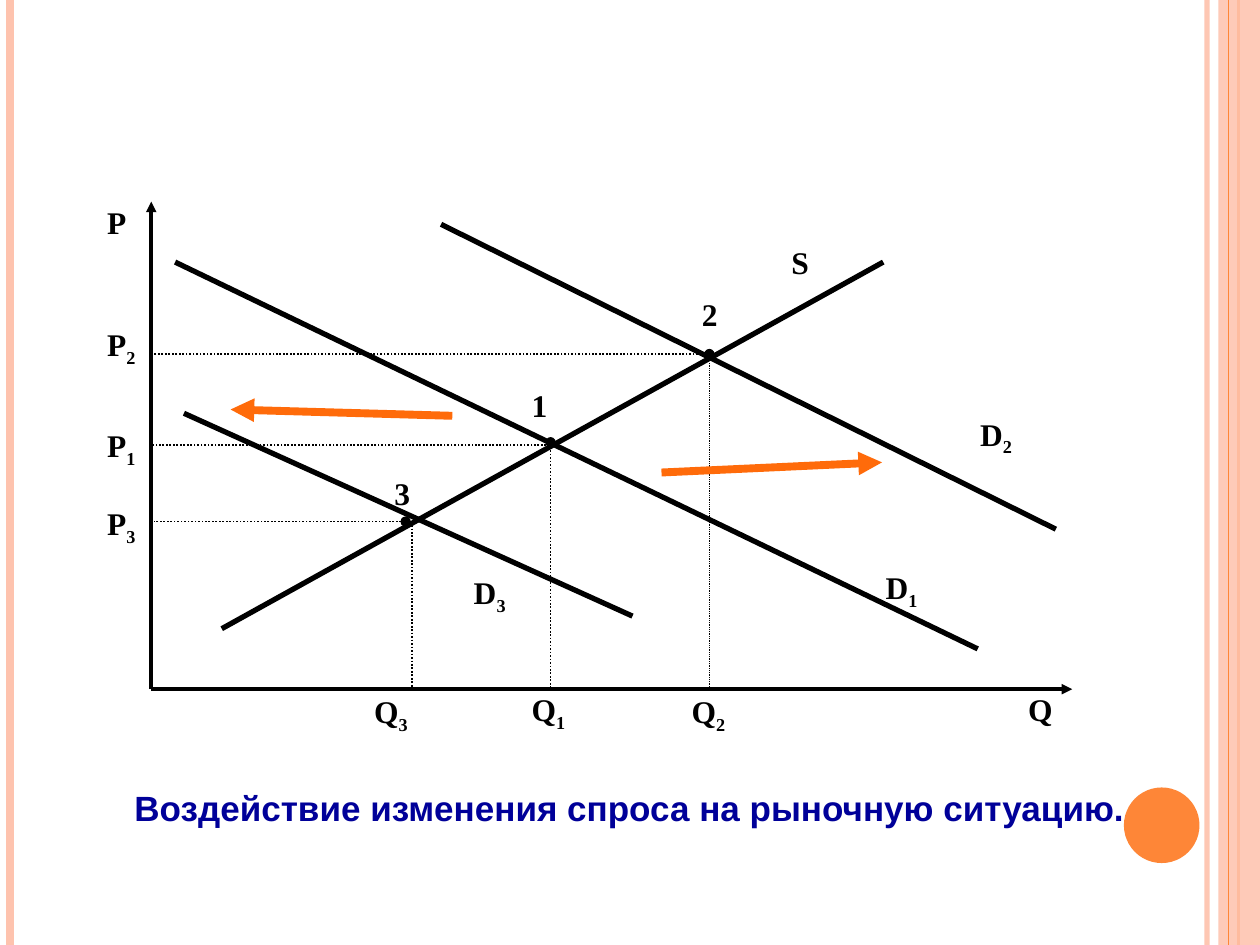
from pptx import Presentation
from pptx.dml.color import RGBColor
from pptx.enum.dml import MSO_LINE
from pptx.enum.shapes import MSO_CONNECTOR, MSO_SHAPE
from pptx.enum.text import PP_ALIGN
from pptx.oxml.ns import qn
from pptx.util import Inches, Pt
from lxml.etree import SubElement

BLACK = RGBColor(0x00, 0x00, 0x00)
NAVY = RGBColor(0x00, 0x00, 0x99)
PEACH = RGBColor(0xFE, 0xC3, 0xAE)
ORANGE = RGBColor(0xFE, 0x86, 0x37)
ARROW_ORANGE = RGBColor(0xFF, 0x6B, 0x0A)

presentation = Presentation()
presentation.slide_width = Inches(10)
presentation.slide_height = Inches(7.5)
slide = presentation.slides.add_slide(presentation.slide_layouts[6])
shapes = slide.shapes


def add_line(start, end, width, color=BLACK, dash=None, head=None, tail=None):
    connector = shapes.add_connector(
        MSO_CONNECTOR.STRAIGHT, *(Inches(value) for value in start + end))
    connector.line.width = Pt(width)
    connector.line.color.rgb = color
    if dash:
        connector.line.dash_style = dash
    properties = connector._element.spPr
    outline = properties.find(qn("a:ln"))
    for tag, kind in (("a:headEnd", head), ("a:tailEnd", tail)):
        if kind:
            SubElement(outline, qn(tag), type=kind)
    SubElement(properties, qn("a:effectLst"))
    return connector


def add_text(text, left, top, width=0.56, height=0.48, subscript="", size=18,
             font="Times New Roman", color=BLACK, align=PP_ALIGN.LEFT,
             margins=(0.02, 0.01)):
    frame = shapes.add_textbox(
        Inches(left), Inches(top), Inches(width), Inches(height)).text_frame
    frame.word_wrap = True
    frame.margin_left = frame.margin_right = Inches(margins[0])
    frame.margin_top = frame.margin_bottom = Inches(margins[1])
    paragraph = frame.paragraphs[0]
    paragraph.alignment = align
    for part in filter(None, (text, subscript)):
        run = paragraph.add_run()
        run.text = part
        run.font.name = font
        run.font.size = Pt(size)
        run.font.bold = True
        run.font.color.rgb = color
    if subscript:
        run.font._element.set("baseline", "-25000")


# Side stripes and the circle
right_stripe = add_line((9.58, 0), (9.58, 7.5), 3, PEACH)
add_line((0.08, 0), (0.08, 7.5), 4.5, PEACH)
add_line((9.83, 0), (9.83, 7.5), 1.5, ORANGE)
band = shapes.add_shape(
    MSO_SHAPE.RECTANGLE, Inches(9.67), 0, Inches(0.33), Inches(7.5))
add_line((9.75, 0), (9.75, 7.5), 0.75, ORANGE)
circle = shapes.add_shape(
    MSO_SHAPE.OVAL, Inches(8.92), Inches(6.25), Inches(0.6), Inches(0.6))
for shape, color in ((band, PEACH), (circle, ORANGE)):
    shape.shadow.inherit = False
    shape.fill.solid()
    shape.fill.fore_color.rgb = color
    shape.line.fill.background()
for shape, opacity in ((right_stripe, 93), (band, 87)):
    color_element = next(shape._element.spPr.iter(qn("a:srgbClr")))
    SubElement(color_element, qn("a:alpha"), val=str(opacity * 1000))

# Axes
origin = (1.2, 5.47)
for axis_end in ((1.2, 1.6), (8.51, 5.47)):
    add_line(origin, axis_end, 2, tail="triangle")

# Demand curves D1, D2, D3 and supply curve S
for start, end in (
    ((1.39, 2.08), (7.76, 5.15)),
    ((3.5, 1.78), (8.38, 4.2)),
    ((1.46, 3.28), (5.02, 4.89)),
    ((1.76, 4.99), (7.01, 2.08)),
):
    add_line(start, end, 3)

# Dotted projections of the equilibrium points; an oval marks each point
for start, end, width, head in (
    ((4.39, 3.53), (1.2, 3.53), 1, None),
    ((4.37, 3.51), (4.37, 5.45), 1, "oval"),
    ((5.63, 2.81), (1.22, 2.81), 1, "oval"),
    ((5.63, 2.88), (5.63, 5.47), 0.5, None),
    ((3.22, 4.14), (1.22, 4.14), 1, "oval"),
    ((3.27, 4.14), (3.27, 5.48), 1, None),
):
    add_line(start, end, width, dash=MSO_LINE.ROUND_DOT, head=head)

# Labels
for text, subscript, left, top in (
    ("Q", "", 8.14, 5.47),
    ("Q", "1", 4.2, 5.47),
    ("Q", "2", 5.47, 5.48),
    ("Q", "3", 2.95, 5.48),
    ("1", "", 4.2, 3.05),
    ("2", "", 5.55, 2.33),
    ("3", "", 3.11, 3.75),
    ("D", "1", 7.01, 4.5),
    ("D", "2", 7.76, 3.28),
    ("D", "3", 3.74, 4.54),
):
    add_text(text, left, top, subscript=subscript)
for subscript, top in (("", 1.6), ("1", 3.37), ("2", 2.57), ("3", 3.99)):
    add_text("P", 0.83, top, width=0.38, subscript=subscript)
add_text("S", 6.26, 1.92, width=0.38)

# Caption
add_text("Воздействие изменения спроса на рыночную ситуацию. ", 0.43, 6.19,
         width=9.21, height=0.43, size=20, font="Arial", color=NAVY,
         align=PP_ALIGN.CENTER, margins=(0.1, 0.05))

# Shifts of demand
for start, end in (((3.59, 3.3), (1.83, 3.25)), ((5.25, 3.75), (7, 3.67))):
    add_line(start, end, 4.5, ARROW_ORANGE, tail="triangle")

presentation.save("out.pptx")
